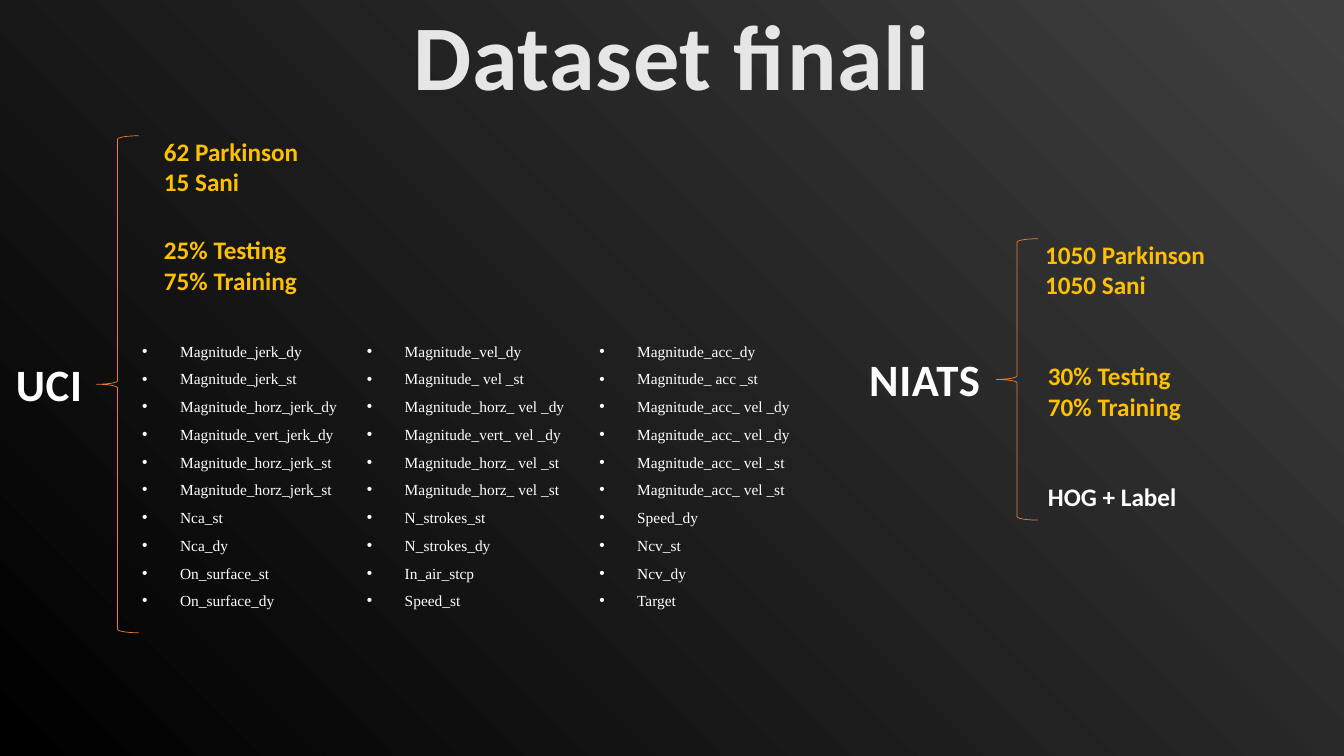
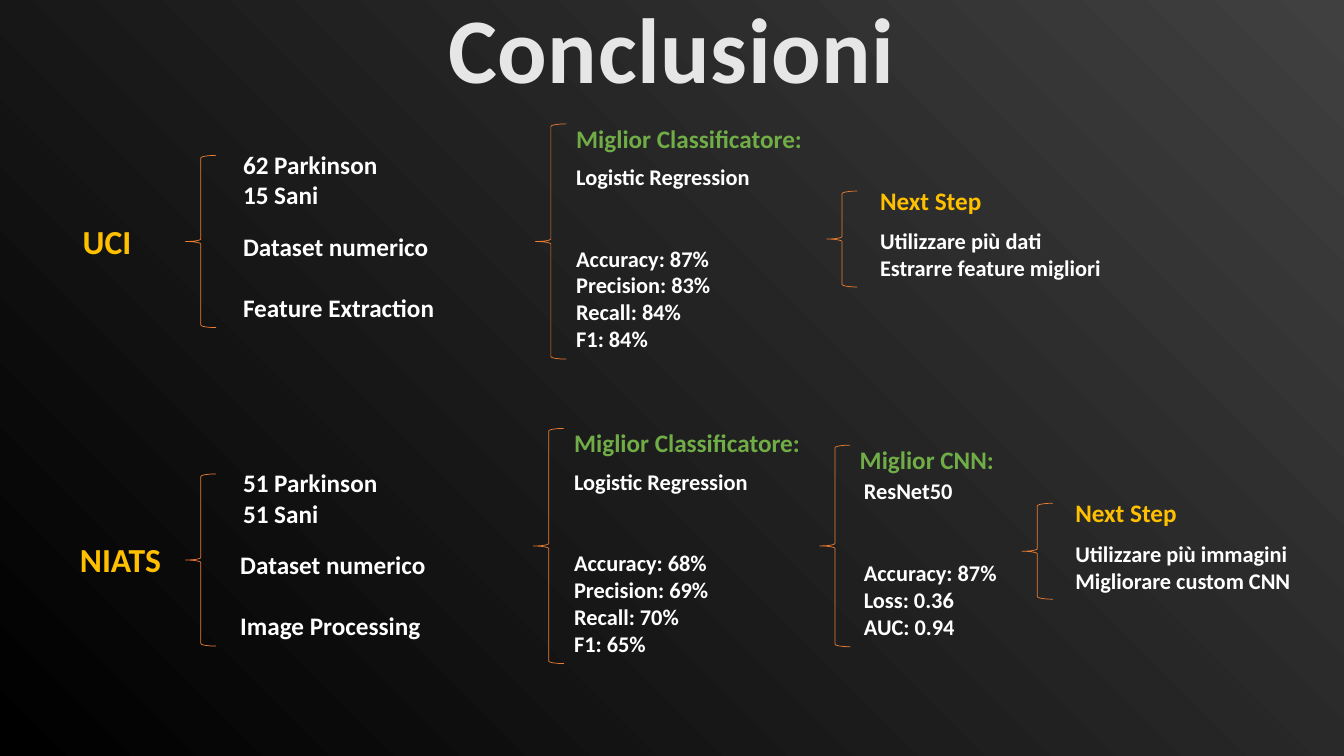
from lxml import etree
from pptx import Presentation
from pptx.dml.color import RGBColor
from pptx.enum import shapes, text
from pptx.oxml import ns
from pptx.util import Pt

LEFT, CENTER, JUSTIFY = (text.PP_ALIGN.LEFT, text.PP_ALIGN.CENTER,
                         text.PP_ALIGN.JUSTIFY)
WHITE, GOLD, GREEN, PALE = "FFFFFF", "FFC000", "70AD47", "E7E6E6"
CALIBRI = {"name": "Calibri", "bold": True}

THEME = {
    "slide": (960, 540),
    "background": ("000000", "404040"),
    "background_angle": 45,
    "brace": {"color": "ED7D31", "weight": 0.5},
    "text_width": 182,
    "styles": {
        "title": {"font": {**CALIBRI, "size": Pt(66)}, "color": PALE,
                  "align": CENTER, "tracking": 50},
        "dataset": {"font": {**CALIBRI, "size": Pt(32)}, "color": WHITE,
                    "align": CENTER, "tracking": 50},
        "row_label": {"font": {**CALIBRI, "size": Pt(24)}, "color": GOLD},
        "gold": {"font": {**CALIBRI, "size": Pt(18)}, "color": GOLD},
        "green": {"font": {**CALIBRI, "size": Pt(18)}, "color": GREEN},
        "white": {"font": {**CALIBRI, "size": Pt(18)}, "color": WHITE},
        "step": {"font": {**CALIBRI, "size": Pt(16)}, "color": WHITE},
        # The scores stand two lines below the name of the model.
        "result": {"font": {**CALIBRI, "size": Pt(16)}, "color": WHITE,
                   "gap_after_first": 39},
        "feature": {"font": {"name": "Times New Roman", "size": Pt(11)},
                    "color": WHITE, "align": JUSTIFY, "bullet_indent": 27,
                    "line_height": 19.8},
    },
}

# Labels: style, left, top, width, wording.
# Groups: brace (left, top, width, height) and its parts, each with
# the offset from the brace corner, the style and the lines.
FINAL_DATASETS = {
    "title": "Dataset finali",
    "title_top": -5,
    "labels": [("dataset", 0, 251, 70, "UCI"),
               ("dataset", 609, 248, 103, "NIATS")],
    "groups": [
        ((69, 97, 30, 355), [
            (41, -3.5, "gold", ["62 Parkinson", "15 Sani"]),
            (41, 67, "gold", ["25% Testing", "75% Training"]),
        ]),
        ((711.5, 170.5, 30, 201), [
            (28, -3, "gold", ["1050 Parkinson", "1050 Sani"]),
            (30, 83.5, "gold", ["30% Testing", "70% Training"]),
            (30, 170, "white", ["HOG + Label"]),
        ]),
    ],
}

FEATURES_TOP = 234
FEATURES = {
    94.5: ["Magnitude_jerk_dy", "Magnitude_jerk_st",
           "Magnitude_horz_jerk_dy", "Magnitude_vert_jerk_dy",
           "Magnitude_horz_jerk_st", "Magnitude_horz_jerk_st",
           "Nca_st", "Nca_dy", "On_surface_st", "On_surface_dy"],
    255: ["Magnitude_vel_dy", "Magnitude_ vel _st",
          "Magnitude_horz_ vel _dy", "Magnitude_vert_ vel _dy",
          "Magnitude_horz_ vel _st", "Magnitude_horz_ vel _st",
          "N_strokes_st", "N_strokes_dy", "In_air_stcp", "Speed_st"],
    421: ["Magnitude_acc_dy", "Magnitude_ acc _st",
          "Magnitude_acc_ vel _dy", "Magnitude_acc_ vel _dy",
          "Magnitude_acc_ vel _st", "Magnitude_acc_ vel _st",
          "Speed_dy", "Ncv_st", "Ncv_dy", "Target"],
}

CONCLUSIONS = {
    "title": "Conclusioni",
    "title_top": -10,
    "labels": [("row_label", 52, 154, 80, "UCI"),
               ("row_label", 50, 381.5, 82, "NIATS")],
    "groups": [
        ((132.5, 111, 22, 123), [
            (34, -8, "white", ["62 Parkinson", "15 Sani"]),
            (34, 50.5, "white", ["Dataset numerico"]),
            (34, 94, "white", ["Feature Extraction"]),
        ]),
        ((382.5, 88.5, 22, 168), [
            (22, -4, "green", ["Miglior Classificatore:"]),
            (22, 24.5, "result", ["Logistic Regression", "Accuracy: 87%",
                                  "Precision: 83%", "Recall: 84%",
                                  "F1: 84%"]),
        ]),
        ((590.5, 136.5, 22, 68.5), [
            (31, -8, "gold", ["Next Step"]),
            (31, 22.5, "step", ["Utilizzare più dati",
                                "Estrarre feature migliori"]),
        ]),
        ((132.5, 338.5, 22, 123), [
            (34, -8, "white", ["51 Parkinson", "51 Sani"]),
            (32, 50.5, "white", ["Dataset numerico"]),
            (32, 94, "white", ["Image Processing"]),
        ]),
        ((381, 306, 22, 168), [
            (22, -4, "green", ["Miglior Classificatore:"]),
            (22, 24.5, "result", ["Logistic Regression", "Accuracy: 68%",
                                  "Precision: 69%", "Recall: 70%",
                                  "F1: 65%"]),
        ]),
        ((585.5, 318, 22, 144), [
            (21.5, -4.5, "green", ["Miglior CNN:"]),
            (24.5, 19.5, "result", ["ResNet50", "Accuracy: 87%",
                                    "Loss: 0.36", "AUC: 0.94"]),
        ]),
        ((730, 359.5, 22, 68.5), [
            (31, -8, "gold", ["Next Step"]),
            (31, 22.5, "step", ["Utilizzare più immagini",
                                "Migliorare custom CNN"]),
        ]),
    ],
}


def add_bullet(paragraph, indent):
    properties = paragraph._p.get_or_add_pPr()
    properties.set("marL", str(Pt(indent)))
    properties.set("indent", str(-Pt(indent)))
    etree.SubElement(properties, ns.qn("a:buFont"), typeface="Arial")
    etree.SubElement(properties, ns.qn("a:buChar"), char="•")


def add_text(slide, style_name, left, top, width, lines):
    """Place the lines as paragraphs in a box whose height follows them."""
    style = THEME["styles"][style_name]
    gap = style.get("gap_after_first", 0)
    line_height = style.get("line_height", 1.22 * style["font"]["size"].pt)
    height = 7.2 + gap + line_height * len(lines)
    frame = slide.shapes.add_textbox(
        *map(Pt, (left, top, width, height))).text_frame
    frame.word_wrap = True
    for index, line in enumerate(lines):
        paragraph = frame.add_paragraph() if index else frame.paragraphs[0]
        if "bullet_indent" in style:
            add_bullet(paragraph, style["bullet_indent"])
        paragraph.alignment = style.get("align", LEFT)
        if "line_height" in style:
            paragraph.line_spacing = Pt(line_height)
        if gap and index == 1:
            paragraph.space_before = Pt(gap)
        run = paragraph.add_run()
        run.text = line
        for attribute, value in style["font"].items():
            setattr(run.font, attribute, value)
        run.font.color.rgb = RGBColor.from_string(style["color"])
        if "tracking" in style:
            run._r.get_or_add_rPr().set("spc", str(style["tracking"]))


def add_brace(slide, box):
    brace = slide.shapes.add_shape(shapes.MSO_SHAPE.LEFT_BRACE, *map(Pt, box))
    brace.shadow.inherit = False
    brace.fill.background()
    brace.line.color.rgb = RGBColor.from_string(THEME["brace"]["color"])
    brace.line.width = Pt(THEME["brace"]["weight"])


def add_slide(deck, content):
    """Build the background, title, labels and braced groups."""
    slide = deck.slides.add_slide(deck.slide_layouts[6])
    fill = slide.background.fill
    fill.gradient()
    fill.gradient_angle = THEME["background_angle"]
    for stop, color in zip(fill.gradient_stops, THEME["background"]):
        stop.color.rgb = RGBColor.from_string(color)
    add_text(slide, "title", 91, content["title_top"], 778, [content["title"]])
    for style_name, left, top, width, wording in content["labels"]:
        add_text(slide, style_name, left, top, width, [wording])
    for box, parts in content["groups"]:
        add_brace(slide, box)
        for right_by, down_by, style_name, lines in parts:
            add_text(slide, style_name, box[0] + right_by, box[1] + down_by,
                     THEME["text_width"], lines)
    return slide


def main():
    deck = Presentation()
    deck.slide_width, deck.slide_height = map(Pt, THEME["slide"])
    datasets = add_slide(deck, FINAL_DATASETS)
    for left, names in FEATURES.items():
        add_text(datasets, "feature", left, FEATURES_TOP,
                 THEME["text_width"], names)
    add_slide(deck, CONCLUSIONS)
    deck.save("out.pptx")


if __name__ == "__main__":
    main()
